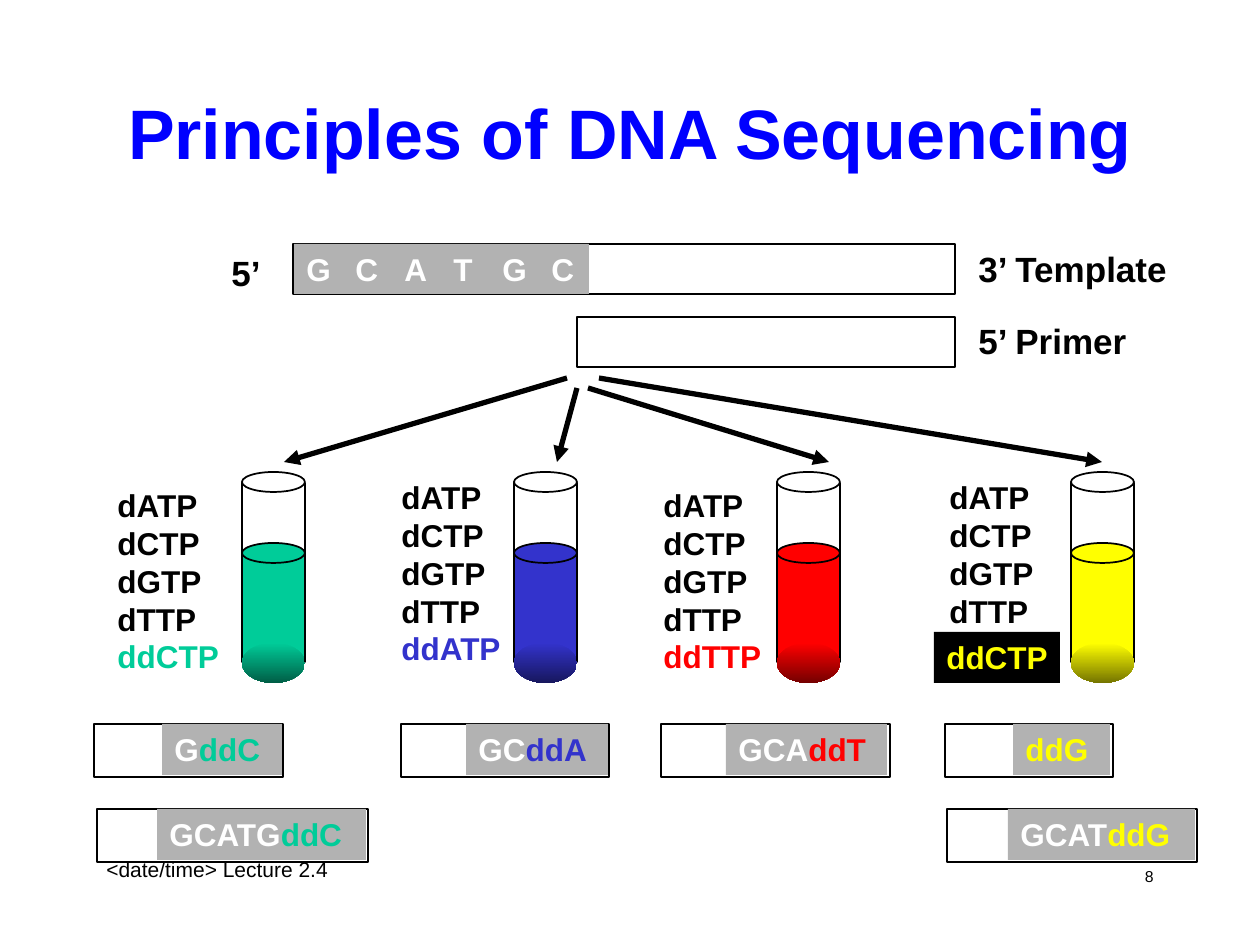
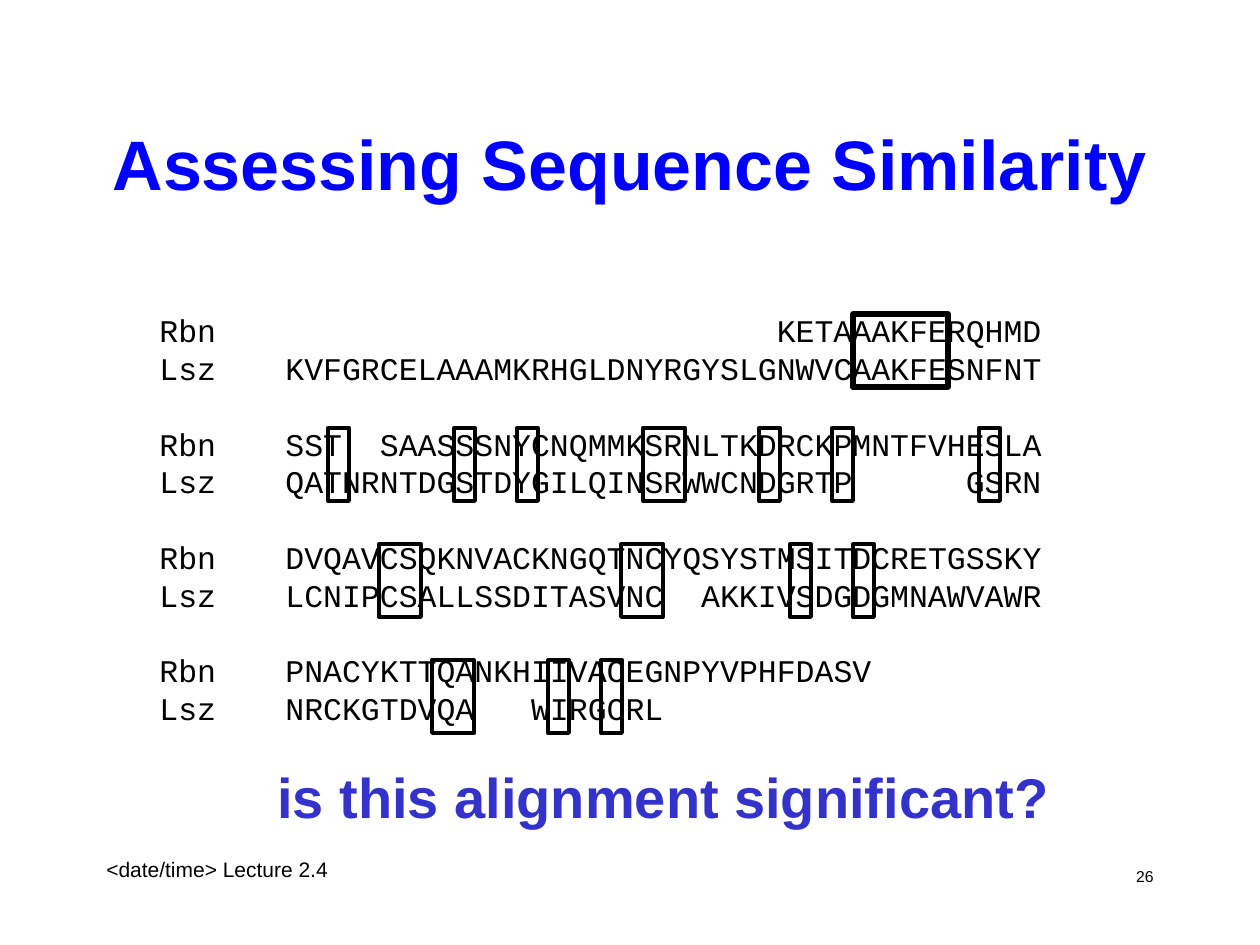
"""Build two slides on DNA sequencing and sequence alignment."""
from dataclasses import dataclass

from lxml import etree
from pptx import Presentation
from pptx.dml.color import RGBColor
from pptx.enum.shapes import MSO_CONNECTOR, MSO_SHAPE
from pptx.enum.text import MSO_ANCHOR, PP_ALIGN
from pptx.oxml.ns import qn
from pptx.util import Emu, Pt

RECTANGLE = MSO_SHAPE.RECTANGLE
OVAL = MSO_SHAPE.OVAL
STRAIGHT = MSO_CONNECTOR.STRAIGHT
LEFT, CENTER, RIGHT = PP_ALIGN.LEFT, PP_ALIGN.CENTER, PP_ALIGN.RIGHT
TOP, MIDDLE = MSO_ANCHOR.TOP, MSO_ANCHOR.MIDDLE
EMU_PER_PX = 914400 / 126


@dataclass(frozen=True)
class Theme:
    """Colours, fonts and type sizes shared by the slides."""
    black: RGBColor = RGBColor(0, 0, 0)
    white: RGBColor = RGBColor(255, 255, 255)
    gray: RGBColor = RGBColor(0xB2, 0xB2, 0xB2)
    title: RGBColor = RGBColor(0, 0, 255)
    green: RGBColor = RGBColor(0, 0xCC, 0x99)
    blue: RGBColor = RGBColor(0x33, 0x33, 0xCC)
    red: RGBColor = RGBColor(255, 0, 0)
    yellow: RGBColor = RGBColor(255, 255, 0)
    shade: float = 0.46
    font: str = "Arial"
    code_font: str = "Courier New"
    title_size: int = 40
    question_size: int = 32
    label_size: int = 20
    body_size: int = 18
    footer_size: int = 12
    number_size: int = 9
    line_height: float = 1.2


THEME = Theme()

TUBES = [
    (514, THEME.blue, "ddATP", (389, 472)),
    (242, THEME.green, "ddCTP", (105, 480)),
    (777, THEME.red, "ddTTP", (651, 480)),
    (1071, THEME.yellow, None, (937, 472)),
]

FRAGMENTS = [
    ((94, 724, 189), (162, 120), "G", "ddC", THEME.green),
    ((97, 809, 271), (157, 209), "GCATG", "ddC", THEME.green),
    ((401, 724, 208), (466, 142), "GC", "ddA", THEME.blue),
    ((661, 724, 229), (726, 161), "GCA", "ddT", THEME.red),
    ((945, 724, 168), (1013, 97), "", "ddG", THEME.yellow),
    ((947, 809, 250), (1008, 187), "GCAT", "ddG", THEME.yellow),
]

ARROWS = [
    ((567, 378), (284, 462)),
    ((577, 388), (557, 462)),
    ((588, 388), (829, 462)),
    ((599, 378), (1102, 462)),
]

ALIGNMENT = [
    ("Rbn", [(26, "KETAAAKFERQHMD")]),
    ("Lsz", [(0, "KVFGRCELAAAMKRHGLDNYRGYSLGNWVCAAKFESNFNT")]),
    ("Rbn", [(0, "SST"), (5, "SAASSSNYCNQMMKSRNLTKDRCKPMNTFVHESLA")]),
    ("Lsz", [(0, "QATNRNTDGSTDYGILQINSRWWCNDGRTP"), (36, "GSRN")]),
    ("Rbn", [(0, "DVQAVCSQKNVACKNGQTNCYQSYSTMSITDCRETGSSKY")]),
    ("Lsz", [(0, "LCNIPCSALLSSDITASVNC"), (22, "AKKIVSDGDGMNAWVAWR")]),
    ("Rbn", [(0, "PNACYKTTQANKHIIVACEGNPYVPHFDASV")]),
    ("Lsz", [(0, "NRCKGTDVQA"), (13, "WIRGCRL")]),
]

MATCHES = [
    (314, 3, [(853, 95)]),
    (428, 2.25, [(328, 21), (454, 21), (517, 21), (643, 42), (759, 21),
                 (832, 21), (979, 21)]),
    (544, 2.25, [(379, 42), (621, 42), (790, 21), (853, 21)]),
    (660, 2.25, [(432, 42), (548, 21), (601, 21)]),
]


def px(length):
    """Turn px into EMU."""
    return Emu(round(length * EMU_PER_PX))


def draw_shape(page, kind, area, fill=None, line=None, weight=1):
    """Draw a preset shape with an optional fill and outline."""
    shape = page.shapes.add_shape(kind, *map(px, area))
    shape.shadow.inherit = False
    if fill is None:
        shape.fill.background()
    else:
        shape.fill.solid()
        shape.fill.fore_color.rgb = fill
    if line is None:
        shape.line.fill.background()
    else:
        shape.line.color.rgb = line
        shape.line.width = Pt(weight)
    return shape


def set_tabs(para, stops):
    """Give a paragraph left tab stops, in px."""
    tab_list = etree.SubElement(para._p.get_or_add_pPr(), qn("a:tabLst"))
    for stop in stops:
        etree.SubElement(tab_list, qn("a:tab"), pos=str(px(stop)), algn="l")


def add_text(page, area, text, *, size=THEME.body_size, color=THEME.black,
             bold=True, font=THEME.font, align=LEFT, anchor=TOP, wrap=False,
             fill=None, tabs=None, gap_every=None):
    """Add text as a string or as lines of (text, colour) spans."""
    if fill is None:
        box = page.shapes.add_textbox(*map(px, area))
    else:
        box = draw_shape(page, RECTANGLE, area, fill)
    frame = box.text_frame
    frame.word_wrap = wrap
    frame.vertical_anchor = anchor
    lines = [[(text, color)]] if isinstance(text, str) else text
    for index, spans in enumerate(lines):
        para = frame.add_paragraph() if index else frame.paragraphs[0]
        if tabs:
            set_tabs(para, tabs[index])
        para.alignment = align
        para.line_spacing = Pt(size * THEME.line_height)
        if gap_every and index and index % gap_every == 0:
            para.space_before = Pt(size * THEME.line_height)
        for content, span_color in spans:
            span = para.add_run()
            span.text = content
            span.font.name = font
            span.font.size = Pt(size)
            span.font.bold = bold
            span.font.color.rgb = span_color
    return box


def add_arrow(page, start, end):
    """Draw a thick line with a triangular head at its end."""
    arrow = page.shapes.add_connector(STRAIGHT, *map(px, start + end))
    arrow.line.color.rgb = THEME.black
    arrow.line.width = Pt(3)
    properties = arrow.element.spPr
    etree.SubElement(properties.find(qn("a:ln")), qn("a:tailEnd"), type="triangle")
    etree.SubElement(properties, qn("a:effectLst"))


def add_tube(page, left, color):
    """Draw a test tube partly filled with coloured liquid."""
    black = THEME.black
    draw_shape(page, RECTANGLE, (left, 552, 63, 110), color, black)
    base = draw_shape(page, OVAL, (left, 643, 63, 40), color)
    base.fill.gradient()
    base.fill.gradient_angle = 270
    dark = RGBColor(*(round(part * THEME.shade) for part in color))
    for stop, stop_color in zip(base.fill.gradient_stops, (color, dark)):
        stop.color.rgb = stop_color
    draw_shape(page, RECTANGLE, (left, 483, 63, 70), None, black)
    draw_shape(page, OVAL, (left, 472, 63, 20), THEME.white, black)
    draw_shape(page, OVAL, (left, 543, 63, 20), color, black)


def add_mix(page, corner, terminator, color):
    """List the nucleotides in a tube, with its terminator last."""
    lines = [[(name, THEME.black)] for name in ("dATP", "dCTP", "dGTP", "dTTP")]
    if terminator:
        lines.append([(terminator, color)])
    add_text(page, (*corner, 134, 13 + 38 * len(lines)), lines, wrap=True)


def add_fragment(page, strand, label, bases, terminator, color):
    """Draw a primer strand with the bases added to it."""
    left, top, width = strand
    label_left, label_width = label
    draw_shape(page, RECTANGLE, (left, top, width, 53), THEME.white, THEME.black)
    spans = [(bases, THEME.white)] if bases else []
    add_text(page, (label_left, top, label_width, 51),
             [spans + [(terminator, color)]], fill=THEME.gray)


def add_page(deck, title, title_area, number):
    """Add a blank page with title, footer and page number."""
    page = deck.slides.add_slide(deck.slide_layouts[6])
    add_text(page, (94, 850, 263, 63), "<date/time> Lecture 2.4",
             size=THEME.footer_size, bold=False, wrap=True)
    add_text(page, title_area, title, size=THEME.title_size, color=THEME.title,
             align=CENTER, anchor=MIDDLE, wrap=True)
    add_text(page, (903, 861, 263, 63), str(number), size=THEME.number_size,
             bold=False, align=RIGHT, wrap=True)
    return page


def build_sequencing(deck):
    """Build the slide on chain termination sequencing."""
    page = add_page(deck, "Principles of DNA Sequencing", (42, 53, 1176, 158), 8)
    for area in ((293, 244, 662, 50), (577, 317, 378, 50)):
        draw_shape(page, RECTANGLE, area, THEME.white, THEME.black)
    for area, label in (((219, 245, 54, 55), "5’"),
                        ((966, 313, 175, 55), "5’ Primer"),
                        ((966, 241, 218, 55), "3’ Template")):
        add_text(page, area, label, size=THEME.label_size)
    add_text(page, (294, 244, 295, 50), "\t".join("GCATGC"), color=THEME.white,
             fill=THEME.gray, wrap=True, tabs=[[49 * step for step in range(1, 6)]])
    for left, color, terminator, corner in TUBES:
        add_tube(page, left, color)
        add_mix(page, corner, terminator, color)
    add_text(page, (934, 632, 126, 51), "ddCTP", color=THEME.yellow,
             fill=THEME.black)
    for fragment in FRAGMENTS:
        add_fragment(page, *fragment)
    for start, end in ARROWS:
        add_arrow(page, start, end)


def build_similarity(deck):
    """Build the slide with the aligned sequences."""
    page = add_page(deck, "Assessing Sequence Similarity", (94, 84, 1071, 158), 26)
    lines = [[("\t".join([name, *(part for _, part in parts)]), THEME.black)]
             for name, parts in ALIGNMENT]
    tabs = [[126 + 18.9 * column for column, _ in parts] for _, parts in ALIGNMENT]
    add_text(page, (147, 305, 999, 428), lines, bold=False, font=THEME.code_font,
             wrap=True, tabs=tabs, gap_every=2)
    for top, weight, spans in MATCHES:
        for left, width in spans:
            draw_shape(page, RECTANGLE, (left, top, width, 73), None,
                       THEME.black, weight)
    add_text(page, (265, 756, 798, 81), "is this alignment significant?",
             size=THEME.question_size, color=THEME.blue)


def main():
    """Build and save the deck."""
    deck = Presentation()
    deck.slide_width, deck.slide_height = px(1260), px(945)
    build_sequencing(deck)
    build_similarity(deck)
    deck.save("out.pptx")


if __name__ == "__main__":
    main()
